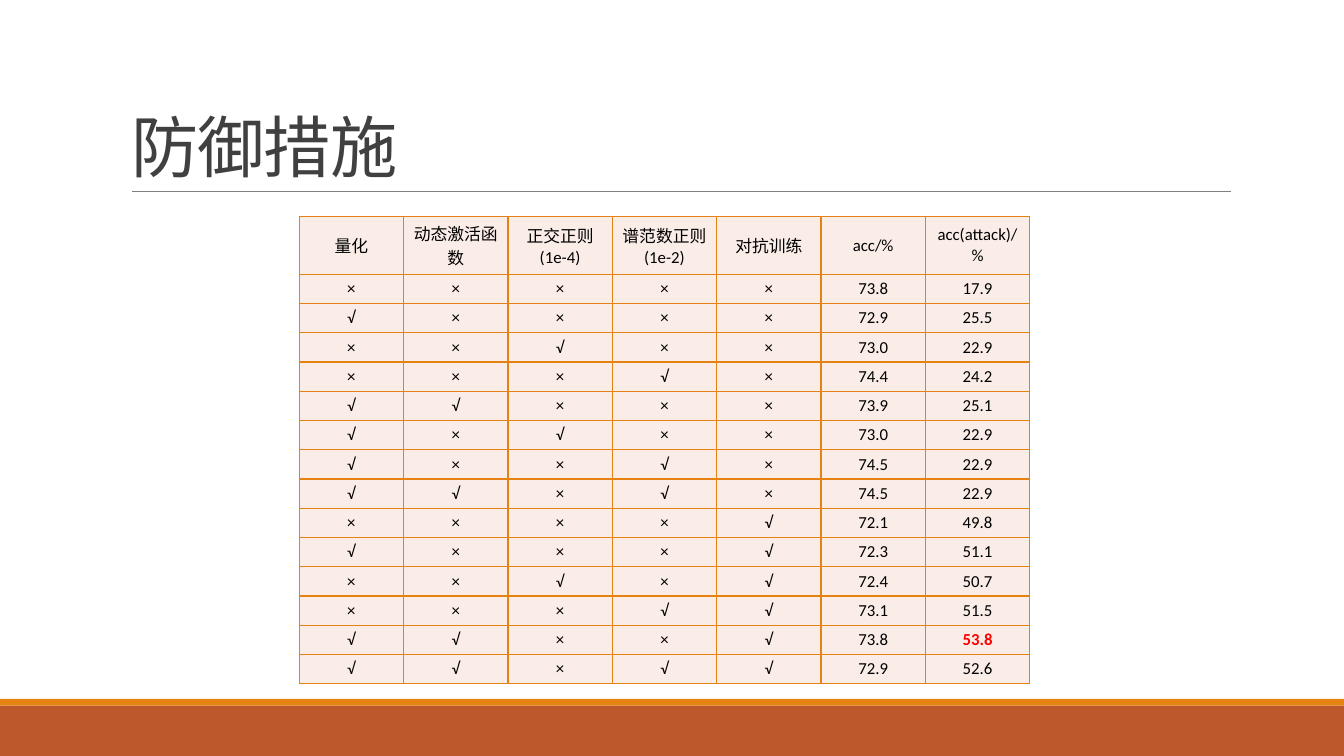
from lxml import etree
from pptx import Presentation
from pptx.dml.color import RGBColor
from pptx.enum.shapes import MSO_CONNECTOR, MSO_SHAPE
from pptx.enum.text import MSO_ANCHOR, MSO_AUTO_SIZE, PP_ALIGN
from pptx.oxml.ns import qn
from pptx.util import Cm, Pt

RECTANGLE = MSO_SHAPE.RECTANGLE
STRAIGHT = MSO_CONNECTOR.STRAIGHT
MIDDLE, BOTTOM = MSO_ANCHOR.MIDDLE, MSO_ANCHOR.BOTTOM
LEFT, CENTER = PP_ALIGN.LEFT, PP_ALIGN.CENTER
NO_AUTOFIT = MSO_AUTO_SIZE.NONE

TITLE = "防御措施"
HEADERS = ["量化", "动态激活函数", "正交正则(1e-4)", "谱范数正则(1e-2)",
           "对抗训练", "acc/%", "acc(attack)/%"]
RESULTS = [
    ("×××××", "73.8", "17.9"),
    ("√××××", "72.9", "25.5"),
    ("××√××", "73.0", "22.9"),
    ("×××√×", "74.4", "24.2"),
    ("√√×××", "73.9", "25.1"),
    ("√×√××", "73.0", "22.9"),
    ("√××√×", "74.5", "22.9"),
    ("√√×√×", "74.5", "22.9"),
    ("××××√", "72.1", "49.8"),
    ("√×××√", "72.3", "51.1"),
    ("××√×√", "72.4", "50.7"),
    ("×××√√", "73.1", "51.5"),
    ("√√××√", "73.8", "53.8"),
    ("√√×√√", "72.9", "52.6"),
]
BEST = "53.8"

COLORS = {"footer": "BD582C", "accent": "E48312", "rule": "808080",
          "title": "404040", "cell": "FAEDE7", "text": "000000", "best": "FF0000"}
FONT = "Calibri"
SLIDE_WIDTH, SLIDE_HEIGHT = 33.87, 19.05
FOOTER_TOP, STRIPE_HEIGHT = 17.78, 0.17
RULE_LEFT, RULE_RIGHT, RULE_TOP = 3.33, 31.01, 4.83
TITLE_BOX = (3.05, 0.79, 27.94, 4.03)
TABLE_LEFT, TABLE_TOP, COLUMN_WIDTH = 7.54, 5.46, 2.63
HEADER_HEIGHT, ROW_HEIGHT = 1.21, 0.72
CELL_FORMAT = {"vertical_anchor": MIDDLE, "margin_left": Cm(0.24), "margin_right": Cm(0.24),
               "margin_top": Cm(0.11), "margin_bottom": Cm(0.11)}


def rgb(name):
    return RGBColor.from_string(COLORS[name])


def apply(target, values):
    for name, value in values.items():
        setattr(target, name, value)


def style_text(paragraph, alignment, size, color, bold=False):
    paragraph.alignment = alignment
    font = paragraph.runs[0].font
    apply(font, {"name": FONT, "size": Pt(size), "bold": bold})
    font.color.rgb = rgb(color)


def add_band(slide, top, height, color):
    shape = slide.shapes.add_shape(RECTANGLE, 0, Cm(top), Cm(SLIDE_WIDTH), Cm(height))
    shape.shadow.inherit = False
    shape.fill.solid()
    shape.fill.fore_color.rgb = rgb(color)
    shape.line.fill.background()


def add_rule(slide):
    rule = slide.shapes.add_connector(STRAIGHT, Cm(RULE_LEFT), Cm(RULE_TOP),
                                      Cm(RULE_RIGHT), Cm(RULE_TOP))
    rule.line.color.rgb = rgb("rule")
    rule.line.width = Pt(0.5)
    etree.SubElement(rule._element.spPr, qn("a:effectLst"))


def add_title(slide):
    title = slide.shapes.title
    apply(title, dict(zip(("left", "top", "width", "height"), map(Cm, TITLE_BOX))))
    title.text = TITLE
    apply(title.text_frame, {"auto_size": NO_AUTOFIT, "vertical_anchor": BOTTOM,
                             "word_wrap": True})
    paragraph = title.text_frame.paragraphs[0]
    paragraph.line_spacing = 0.85
    style_text(paragraph, LEFT, 48, "title")
    paragraph.runs[0].font._element.set("spc", "-50")


def add_borders(cell):
    properties = cell._tc.get_or_add_tcPr()
    for side in ("lnL", "lnR", "lnT", "lnB"):
        line = etree.SubElement(properties, qn(f"a:{side}"), w=str(Pt(1)))
        fill = etree.SubElement(line, qn("a:solidFill"))
        etree.SubElement(fill, qn("a:srgbClr"), val=COLORS["accent"])


def add_results(slide):
    rows = [HEADERS] + [[*marks, clean, attacked] for marks, clean, attacked in RESULTS]
    height = HEADER_HEIGHT + ROW_HEIGHT * len(RESULTS)
    table = slide.shapes.add_table(len(rows), len(HEADERS), Cm(TABLE_LEFT), Cm(TABLE_TOP),
                                   Cm(COLUMN_WIDTH * len(HEADERS)), Cm(height)).table
    apply(table, {"first_row": False, "horz_banding": False})
    for column in table.columns:
        column.width = Cm(COLUMN_WIDTH)
    for row_index, values in enumerate(rows):
        table.rows[row_index].height = Cm(ROW_HEIGHT if row_index else HEADER_HEIGHT)
        for column_index, value in enumerate(values):
            cell = table.cell(row_index, column_index)
            cell.text = value
            apply(cell, CELL_FORMAT)
            add_borders(cell)
            cell.fill.solid()
            cell.fill.fore_color.rgb = rgb("cell")
            best = value == BEST
            style_text(cell.text_frame.paragraphs[0], CENTER, 12,
                       "best" if best else "text", best)


def main():
    presentation = Presentation()
    apply(presentation, {"slide_width": Cm(SLIDE_WIDTH), "slide_height": Cm(SLIDE_HEIGHT)})
    slide = presentation.slides.add_slide(presentation.slide_layouts[5])
    add_band(slide, FOOTER_TOP, SLIDE_HEIGHT - FOOTER_TOP, "footer")
    add_band(slide, FOOTER_TOP - STRIPE_HEIGHT, STRIPE_HEIGHT, "accent")
    add_rule(slide)
    add_title(slide)
    add_results(slide)
    presentation.save("out.pptx")


if __name__ == "__main__":
    main()
